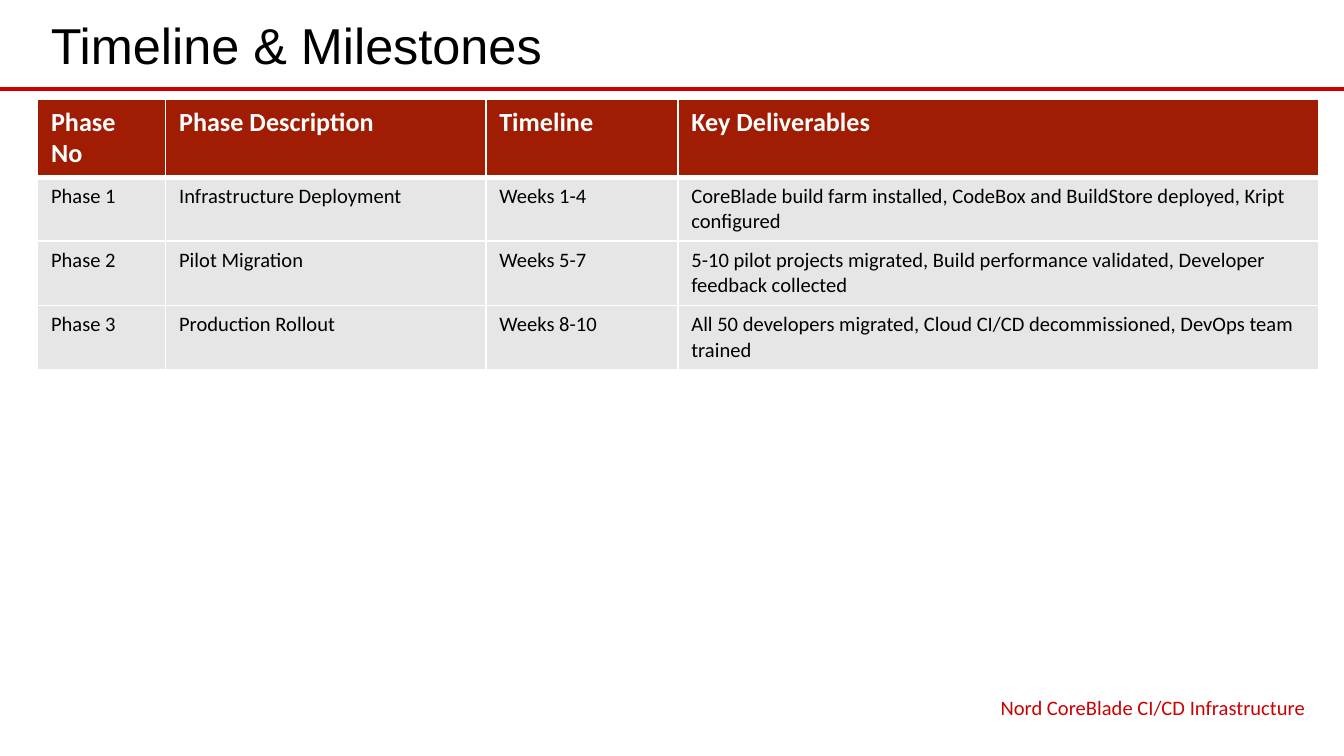
import lxml.etree
import pptx
import pptx.dml.color
import pptx.enum.shapes
import pptx.enum.text
import pptx.oxml.ns
import pptx.util

TITLE = "Timeline & Milestones"
FOOTER = "Nord CoreBlade CI/CD Infrastructure"
HEADER = ("Phase No", "Phase Description", "Timeline", "Key Deliverables")
PHASES = [
    ("Phase 1", "Infrastructure Deployment", "Weeks 1-4",
     "CoreBlade build farm installed, CodeBox and BuildStore deployed, Kript configured"),
    ("Phase 2", "Pilot Migration", "Weeks 5-7",
     "5-10 pilot projects migrated, Build performance validated, Developer feedback collected"),
    ("Phase 3", "Production Rollout", "Weeks 8-10",
     "All 50 developers migrated, Cloud CI/CD decommissioned, DevOps team trained"),
]
THEME = {
    "accent": "CC0000", "header": "A01C02", "row": "E7E6E6",
    "light": "FFFFFF", "dark": "000000",
    "title_font": "Arial", "body_font": "Calibri",
    "title_size": 27, "header_size": 14, "body_size": 11,
}
WIDTH = 10
HEIGHT = WIDTH * 9 / 16
LEFT, CONTENT_WIDTH = 0.28, 9.53
COLUMN_SHARES = (0.1, 0.25, 0.15, 0.5)
ROW_HEIGHT = 0.41
FOOTER_WIDTH = 3.52

ALIGN = pptx.enum.text.PP_ALIGN
ANCHOR = pptx.enum.text.MSO_ANCHOR
inches = pptx.util.Inches


def rgb(name):
    return pptx.dml.color.RGBColor.from_string(THEME[name])


def write_text(frame, text, size="body_size", font="body_font", color="dark",
               bold=False, align=ALIGN.LEFT, anchor=ANCHOR.TOP):
    frame.word_wrap = True
    frame.vertical_anchor = anchor
    paragraph = frame.paragraphs[0]
    paragraph.alignment = align
    run = paragraph.add_run()
    run.text = text
    run.font.size = pptx.util.Pt(THEME[size])
    run.font.name = THEME[font]
    run.font.bold = bold
    run.font.color.rgb = rgb(color)


def add_text(slide, left, top, width, height, text, **style):
    box = slide.shapes.add_textbox(*map(inches, (left, top, width, height)))
    write_text(box.text_frame, text, **style)


def set_borders(cell, top, bottom):
    properties = cell._tc.get_or_add_tcPr()
    widths = {"lnL": 1, "lnR": 1, "lnT": top, "lnB": bottom}
    for index, (side, width) in enumerate(widths.items()):
        line = lxml.etree.Element(pptx.oxml.ns.qn("a:" + side),
                                  w=str(pptx.util.Pt(width)))
        fill = lxml.etree.SubElement(line, pptx.oxml.ns.qn("a:solidFill"))
        lxml.etree.SubElement(fill, pptx.oxml.ns.qn("a:srgbClr"), val=THEME["light"])
        properties.insert(index, line)


def add_rule(slide, top):
    rule = slide.shapes.add_connector(
        pptx.enum.shapes.MSO_CONNECTOR.STRAIGHT,
        0, inches(top), inches(WIDTH), inches(top))
    rule.line.color.rgb = rgb("accent")
    rule.line.width = pptx.util.Pt(2.25)
    lxml.etree.SubElement(rule._element.spPr, pptx.oxml.ns.qn("a:effectLst"))


def add_phase_table(slide, top):
    rows = [HEADER, *PHASES]
    table = slide.shapes.add_table(
        len(rows), len(HEADER), inches(LEFT), inches(top),
        inches(CONTENT_WIDTH), inches(ROW_HEIGHT * len(rows))).table
    table.horz_banding = False
    for column, share in zip(table.columns, COLUMN_SHARES):
        column.width = inches(CONTENT_WIDTH * share)
    for row_index, values in enumerate(rows):
        table.rows[row_index].height = inches(ROW_HEIGHT)
        is_header = row_index == 0
        style = dict(size="header_size", color="light", bold=True) if is_header else {}
        for column_index, value in enumerate(values):
            cell = table.cell(row_index, column_index)
            cell.margin_bottom = inches(0.06)
            cell.fill.solid()
            cell.fill.fore_color.rgb = rgb("header" if is_header else "row")
            set_borders(cell, top=3 if row_index == 1 else 1, bottom=3 if is_header else 1)
            write_text(cell.text_frame, value, **style)


def main():
    presentation = pptx.Presentation()
    presentation.slide_width = inches(WIDTH)
    presentation.slide_height = inches(HEIGHT)
    slide = presentation.slides.add_slide(presentation.slide_layouts[6])
    add_rule(slide, 0.66)
    add_text(slide, LEFT, 0.04, CONTENT_WIDTH, 0.58, TITLE, size="title_size",
             font="title_font", anchor=ANCHOR.MIDDLE)
    add_phase_table(slide, 0.74)
    add_text(slide, LEFT + CONTENT_WIDTH - FOOTER_WIDTH, 5.12, FOOTER_WIDTH, 0.26,
             FOOTER, color="accent", align=ALIGN.RIGHT)
    presentation.save("out.pptx")


if __name__ == "__main__":
    main()
